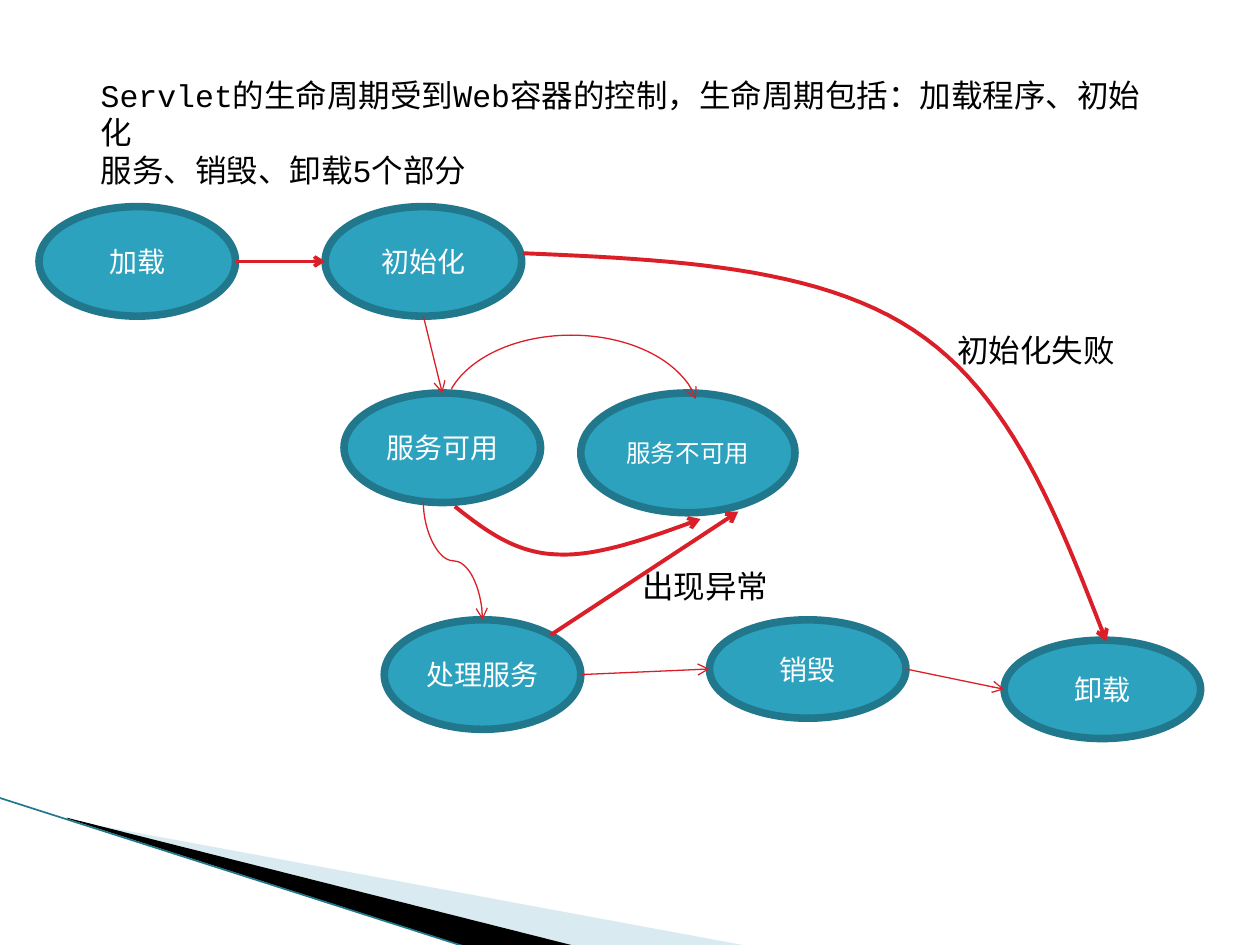
"""Build a slide showing the life cycle of a Servlet as a state diagram."""
from dataclasses import dataclass

from lxml.etree import SubElement
from pptx import Presentation
from pptx.dml.color import RGBColor as Color
from pptx.enum.shapes import MSO_CONNECTOR as Connector, MSO_SHAPE as Shape
from pptx.enum.text import MSO_ANCHOR as Anchor, PP_ALIGN as Align
from pptx.oxml.ns import qn
from pptx.util import Pt


@dataclass(frozen=True)
class Theme:
    font: str = "Courier New"
    node: str = "2DA2BF"
    edge: str = "21788D"
    arrow: str = "DA1F28"
    pale: str = "A0CBDC"
    black: str = "000000"
    white: str = "FFFFFF"
    body_size: float = 18
    node_size: float = 16
    small_size: float = 14
    outline: float = 4.33
    thin: float = 0.75
    medium: float = 2
    thick: float = 2.25


THEME = Theme()
INTRO = [
    "Servlet的生命周期受到Web容器的控制，生命周期包括：加载程序、初始化",
    "服务、销毁、卸载5个部分",
]
NODES = {
    "加载": (22.3, 118.1, 112.3, 62.6),
    "初始化": (185.8, 118.1, 112.3, 62.6),
    "服务可用": (196.6, 224.6, 112.3, 62.6),
    "处理服务": (219.6, 354.2, 112.3, 62.6),
    "服务不可用": (331.9, 224.6, 122.4, 68.4),
    "销毁": (405.4, 354.2, 112.3, 56.2),
    "卸载": (573.8, 365.8, 112.3, 56.2),
}
SMALL_NODES = {"服务不可用"}
LINKS = [
    ("加载", "right", "初始化", "left", THEME.medium),
    ("初始化", "bottom", "服务可用", "top", THEME.thin),
    ("处理服务", "right", "销毁", "left", THEME.thin),
    ("销毁", "right", "卸载", "left", THEME.thin),
]
EXCEPTION_LINE = (314.6, 362.9), (421.9, 292.3)
CURVES = [
    [(298.8, 144.7), (382.3, 148.3), (466.6, 151.9), (522, 188.6),
     (578.2, 225.4), (604.8, 295.9), (632.2, 366.5)],
    [(259.9, 289.4), (277.2, 303.1), (294.5, 316.1), (318.2, 316.8),
     (341.3, 318.2), (370.8, 307.4), (400.3, 296.6)],
]
ARC_BOX = (253.4, 191.5, 146.2, 94.3)
ARC_ANGLES = (193.47, 351.55)
LABELS = [("初始化失败", (540, 185.8, 105.1, 28.8)), ("出现异常", (360, 320.4, 87.1, 28.8))]
INTRO_BOX = (50.4, 39.6, 619.9, 51.1)
WEDGES = [
    ([(39.6, 468.7), (428.4, 540.7), (328.3, 540.7), (39.6, 468)], THEME.pale, 40),
    ([(38.2, 467.3), (329, 540.7), (267.8, 541.4), (38.9, 468)], THEME.black, 100),
]
CORNER_LINE = (-0.7, 455.8), (267.1, 541.4)


def points(values):
    return [Pt(value) for value in values]


def write(frame, lines, *, size, color, align=Align.LEFT):
    for index, line in enumerate(lines):
        para = frame.paragraphs[0] if index == 0 else frame.add_paragraph()
        para.alignment = align
        span = para.add_run()
        span.text = line
        span.font.name = THEME.font
        span.font.size = Pt(size)
        span.font.color.rgb = Color.from_string(color)


def add_text(page, box, lines, *, wrap):
    frame = page.shapes.add_textbox(*points(box)).text_frame
    frame.word_wrap = wrap
    write(frame, lines, size=THEME.body_size, color=THEME.black)


def fill_shape(shape, color):
    shape.shadow.inherit = False
    shape.fill.solid()
    shape.fill.fore_color.rgb = Color.from_string(color)


def draw_line(shape, width, color=THEME.arrow, arrow=True):
    shape.line.color.rgb = Color.from_string(color)
    shape.line.width = Pt(width)
    if arrow:
        SubElement(shape.line._get_or_add_ln(), qn("a:tailEnd"), type="arrow")


def add_line(page, start, end, width, *, kind=Connector.STRAIGHT, **style):
    line = page.shapes.add_connector(kind, *points((*start, *end)))
    draw_line(line, width, **style)
    SubElement(line._element.spPr, qn("a:effectLst"))
    return line


def add_outline(page, corners, *, close):
    first, *rest = [points(corner) for corner in corners]
    builder = page.shapes.build_freeform(*first)
    builder.add_line_segments(rest, close=close)
    return builder.convert_to_shape()


def sample_curve(knots, steps=24):
    path = [knots[0]]
    for first in range(0, len(knots) - 1, 3):
        segment = knots[first:first + 4]
        for step in range(1, steps + 1):
            t = step / steps
            weights = ((1 - t) ** 3, 3 * t * (1 - t) ** 2, 3 * t * t * (1 - t), t ** 3)
            path.append(tuple(sum(w * knot[axis] for w, knot in zip(weights, segment))
                              for axis in (0, 1)))
    return path


def site(name, side):
    left, top, width, height = NODES[name]
    across, down = {"left": (0, 0.5), "right": (1, 0.5),
                    "top": (0.5, 0), "bottom": (0.5, 1)}[side]
    return left + across * width, top + down * height


def add_node(page, name, box):
    node = page.shapes.add_shape(Shape.OVAL, *points(box))
    fill_shape(node, THEME.node)
    draw_line(node, THEME.outline, THEME.edge, arrow=False)
    frame = node.text_frame
    frame.margin_left = frame.margin_right = 0
    frame.vertical_anchor = Anchor.MIDDLE
    size = THEME.small_size if name in SMALL_NODES else THEME.node_size
    write(frame, [name], size=size, color=THEME.white, align=Align.CENTER)


def add_vertical_curve(page, start, end, width):
    middle_x, middle_y = [(a + b) / 2 for a, b in zip(start, end)]
    half_run, half_rise = (end[1] - start[1]) / 2, (end[0] - start[0]) / 2
    curve = add_line(page, (middle_x + half_run, middle_y - half_rise),
                     (middle_x - half_run, middle_y + half_rise), width, kind=Connector.CURVE)
    curve._element.spPr.find(qn("a:xfrm")).set("rot", str(270 * 60000))


def main():
    deck = Presentation()
    deck.slide_width, deck.slide_height = Pt(720), Pt(540)
    page = deck.slides.add_slide(deck.slide_layouts[6])

    for corners, color, opacity in WEDGES:
        wedge = add_outline(page, corners, close=True)
        fill_shape(wedge, color)
        wedge.line.fill.background()
        tint = wedge._element.spPr.find(qn("a:solidFill"))[0]
        SubElement(tint, qn("a:alpha"), val=str(opacity * 1000))
    add_line(page, *CORNER_LINE, 0.95, color=THEME.edge, arrow=False)

    for name, box in NODES.items():
        add_node(page, name, box)
    for source, source_side, target, target_side, width in LINKS:
        add_line(page, site(source, source_side), site(target, target_side), width)
    add_line(page, *EXCEPTION_LINE, THEME.thick)
    add_vertical_curve(page, (241.9, 286.6), site("处理服务", "top"), THEME.thin)

    arc = page.shapes.add_shape(Shape.ARC, *points(ARC_BOX))
    for index, angle in enumerate(ARC_ANGLES):
        arc.adjustments[index] = angle * 0.6
    bends = [(arc, THEME.thin)]
    bends += [(add_outline(page, sample_curve(knots), close=False), THEME.thick)
              for knots in CURVES]
    for bend, width in bends:
        bend.shadow.inherit = False
        bend.fill.background()
        draw_line(bend, width)

    for label, box in LABELS:
        add_text(page, box, [label], wrap=False)
    add_text(page, INTRO_BOX, INTRO, wrap=True)
    deck.save("out.pptx")


if __name__ == "__main__":
    main()
